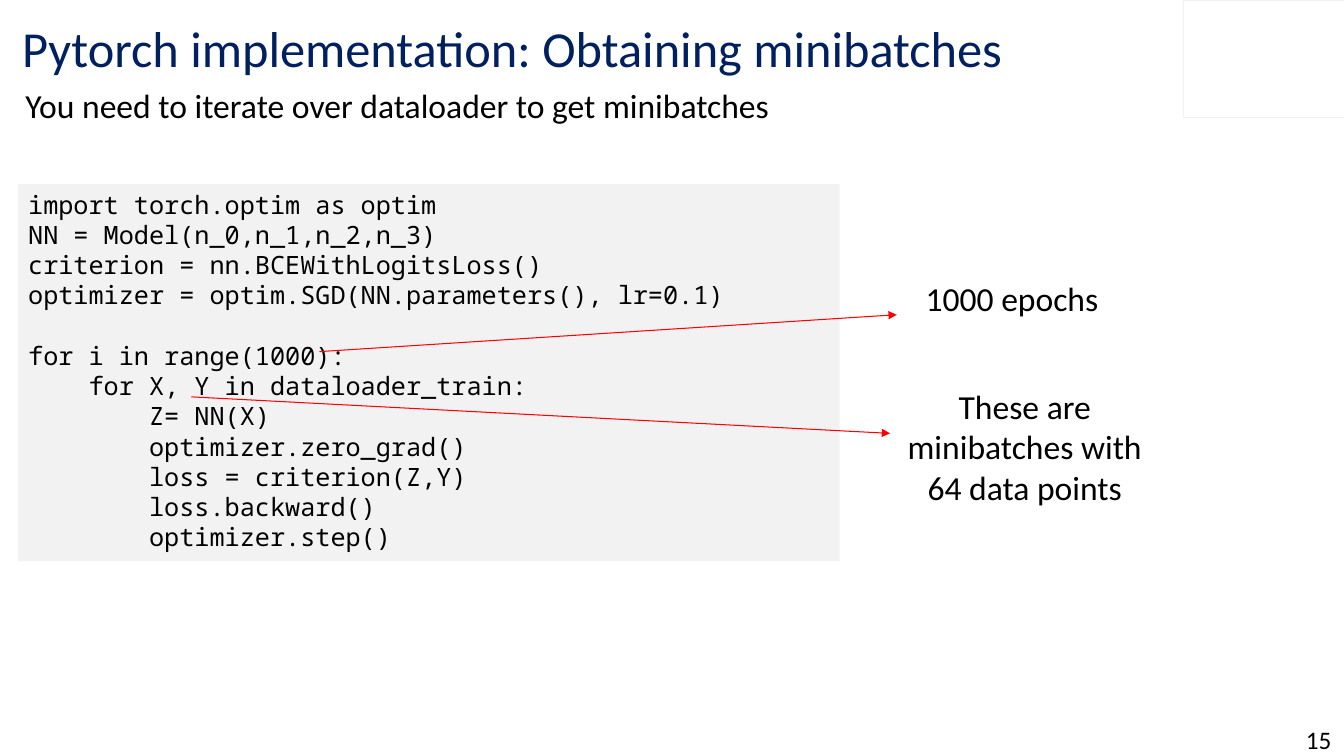
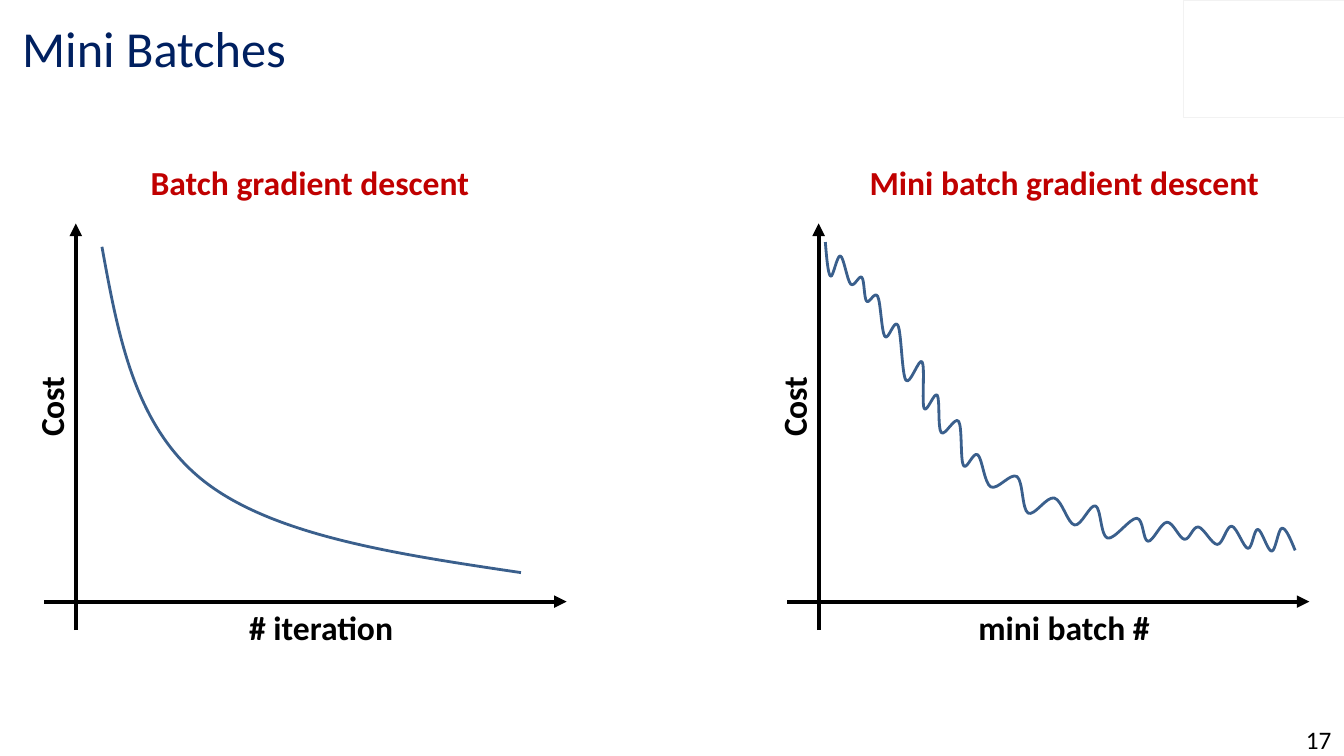
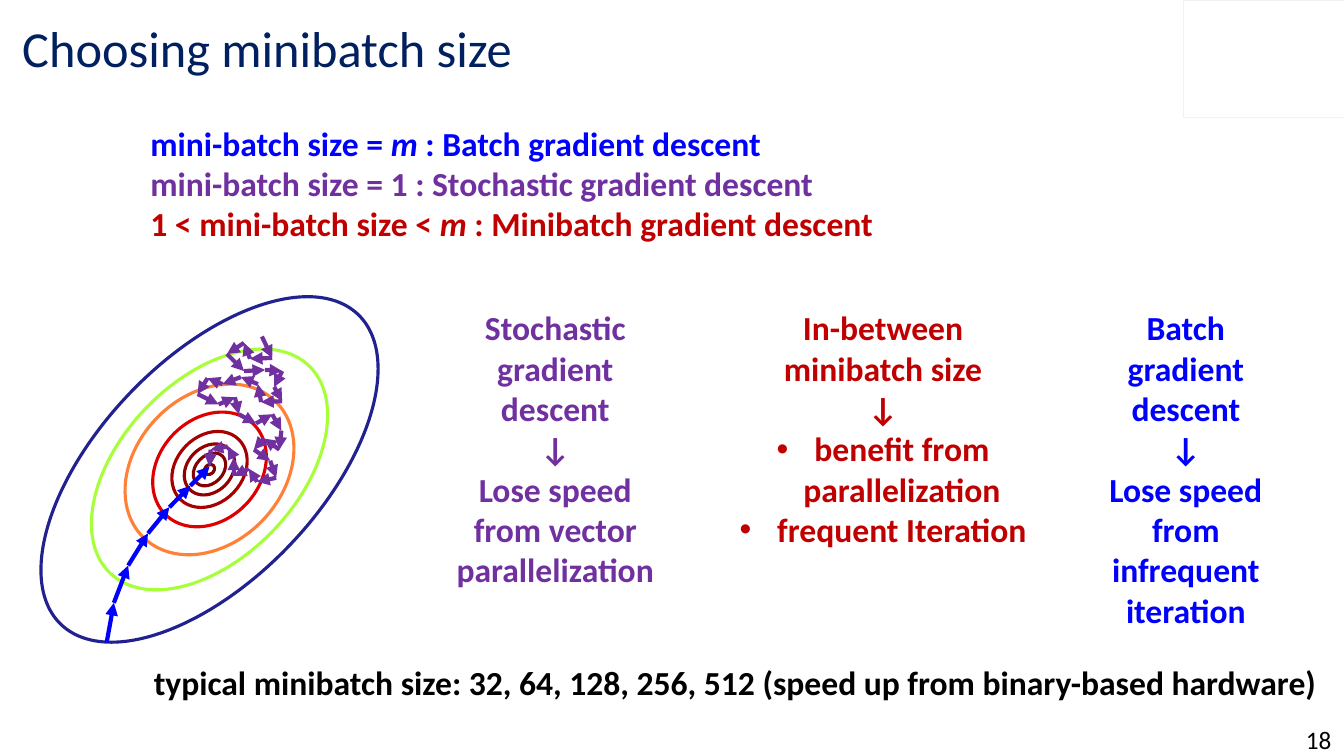
import itertools

import pptx
import pptx.dml.color
import pptx.enum.shapes
import pptx.enum.text
import pptx.oxml
import pptx.oxml.ns
import pptx.util

Cm = pptx.util.Cm
Pt = pptx.util.Pt
ALIGN = pptx.enum.text.PP_ALIGN
ANCHOR = pptx.enum.text.MSO_ANCHOR
FIT = pptx.enum.text.MSO_AUTO_SIZE
SHAPE = pptx.enum.shapes.MSO_SHAPE

BLACK, NAVY, PALE = "000000", "002060", "F2F2F2"
RED, ARROW_RED = "C00000", "FF0000"
BLUE, PURPLE, CURVE = "0000FF", "7030A0", "3A5F8C"


def rgb(value):
    return pptx.dml.color.RGBColor.from_string(value)


def add_xml(parent, tag, **attributes):
    """Append an empty DrawingML element to parent and return it."""
    child = pptx.oxml.parse_xml(f"<a:{tag} {pptx.oxml.ns.nsdecls('a')}/>")
    for name, value in attributes.items():
        child.set(name, str(value))
    parent.append(child)
    return child


def smooth_segments(knots):
    """Bezier segments (control, control, end); tangents follow the neighbours."""
    def shifted(knot, before, after, sign):
        return tuple(k + sign * (b - a) / 6 for k, a, b in zip(knot, before, after))

    def middle(first, second):
        return tuple((a + b) / 2 for a, b in zip(first, second))

    segments = []
    last = len(knots) - 2
    for i in range(last + 1):
        start, end = knots[i], knots[i + 1]
        leave = shifted(start, knots[i - 1], end, 1) if i > 0 else None
        arrive = shifted(end, start, knots[i + 2], -1) if i < last else None
        segments.append((leave or middle(start, arrive), arrive or middle(leave, end), end))
    return segments


class Lecture:
    """Holds the deck, its style and the current page; lengths are in cm."""

    font = "Calibri"
    code_font = "Noto Sans Mono"
    body_size = 24

    def __init__(self):
        self.deck = pptx.Presentation()
        self.deck.slide_width = Cm(33.87)
        self.deck.slide_height = Cm(19.05)
        self.page = None

    def new_page(self, title, number):
        self.page = self.deck.slides.add_slide(self.deck.slide_layouts[6])
        self.outline(SHAPE.RECTANGLE, 29.83, 0, 4.04, 2.96, PALE, 0.25)
        self.text(0.31, 0.25, 26.14, 1.9, [title], NAVY, size=36, grow=False)
        self.text(32.6, 18.21, 1.27, 0.84, [str(number)], size=18,
                  align=ALIGN.CENTER, wrap=False, grow=False)

    def text(self, left, top, width, height, lines, colour=BLACK, size=body_size,
             font=font, bold=False, align=ALIGN.LEFT, wrap=True, grow=True):
        """Add a text box; a part of a line between bars is italic."""
        box = self.page.shapes.add_textbox(Cm(left), Cm(top), Cm(width), Cm(height))
        frame = box.text_frame
        frame.word_wrap = wrap
        frame.auto_size = FIT.SHAPE_TO_FIT_TEXT if grow else FIT.NONE
        frame.vertical_anchor = ANCHOR.TOP if grow else ANCHOR.MIDDLE
        for i, line in enumerate(lines):
            para = frame.add_paragraph() if i else frame.paragraphs[0]
            para.alignment = align
            for j, part in enumerate(line.split("|")):
                span = para.add_run()
                span.text = part
                span.font.name = font
                span.font.size = Pt(size)
                span.font.bold = bold
                span.font.italic = j % 2 == 1
                span.font.color.rgb = rgb(colour)
        return box

    def label(self, *place, **style):
        """Bold centred text."""
        return self.text(*place, bold=True, align=ALIGN.CENTER, **style)

    def code(self, left, top, width, height, blocks):
        """Add a code panel with one line of space between the blocks."""
        box = self.text(left, top, width, height, list(itertools.chain(*blocks)),
                        size=18, font=self.code_font)
        box.fill.solid()
        box.fill.fore_color.rgb = rgb(PALE)
        first = 0
        for block in blocks[:-1]:
            first += len(block)
            box.text_frame.paragraphs[first].space_before = Pt(21.6)

    def bullet(self, para):
        properties = para._p.get_or_add_pPr()
        properties.set("marL", str(Cm(0.95)))
        properties.set("indent", str(-Cm(0.95)))
        add_xml(properties, "buFont", typeface="Arial")
        add_xml(properties, "buChar", char="•")

    def outline(self, kind, left, top, width, height, colour, weight):
        shape = self.page.shapes.add_shape(kind, Cm(left), Cm(top), Cm(width), Cm(height))
        self.stroke(shape, colour, weight)
        return shape

    def stroke(self, shape, colour, weight):
        shape.shadow.inherit = False
        shape.fill.background()
        shape.line.color.rgb = rgb(colour)
        shape.line.width = Pt(weight)

    def curve(self, knots):
        """Draw a freeform through the knots and bend its straight segments."""
        start, *rest = [(Cm(x), Cm(y)) for x, y in knots]
        builder = self.page.shapes.build_freeform(*start)
        builder.add_line_segments(rest, close=False)
        shape = builder.convert_to_shape()
        straight = list(shape._element.iter(pptx.oxml.ns.qn("a:lnTo")))
        for line, segment in zip(straight, smooth_segments(knots)):
            bend = add_xml(line.getparent(), "cubicBezTo")
            for x, y in segment:
                add_xml(bend, "pt", x=Cm(x) - shape.left, y=Cm(y) - shape.top)
            line.getparent().replace(line, bend)
        self.stroke(shape, CURVE, 2)

    def arrow(self, start, end, colour, weight=3):
        line = self.page.shapes.add_connector(
            pptx.enum.shapes.MSO_CONNECTOR.STRAIGHT, *map(Cm, start + end))
        line.line.color.rgb = rgb(colour)
        line.line.width = Pt(weight)
        add_xml(line.line._get_or_add_ln(), "tailEnd", type="triangle")
        add_xml(line._element.spPr, "effectLst")

    def arrow_chain(self, stops, colour):
        for start, end in zip(stops, stops[1:]):
            self.arrow(start, end, colour)

    def cost_graph(self, left, heading, heading_centre, x_name, knots):
        """Draw axes, names, heading and cost curve of one graph."""
        self.arrow((left + 0.79, 15.88), (left + 0.79, 5.63), BLACK)
        self.arrow((left, 15.16), (left + 13.16, 15.16), BLACK)
        name = self.label(left - 0.87, 9.61, 2.06, 1.27, ["Cost"], wrap=False)
        name.rotation = 270
        self.label(left + 4.5, 15.16, 4.95, 1.27, [x_name], wrap=False)
        self.label(heading_centre - 5.65, 3.96, 11.3, 1.27, [heading], colour=RED)
        self.curve(knots)


CODE = [
    ["import torch.optim as optim",
     "NN = Model(n_0,n_1,n_2,n_3)",
     "criterion = nn.BCEWithLogitsLoss()",
     "optimizer = optim.SGD(NN.parameters(), lr=0.1)"],
    ["for i in range(1000):",
     "    for X, Y in dataloader_train:",
     "        Z= NN(X)",
     "        optimizer.zero_grad()",
     "        loss = criterion(Z,Y)",
     "        loss.backward()",
     "        optimizer.step()"],
]

BATCH_COST = [(2.57, 6.22), (5.16, 12.14), (13.13, 14.43)]
MINIBATCH_COST = [
    (20.8, 6.1), (20.93, 6.96), (21.18, 6.45), (21.44, 7.16), (21.72, 6.99),
    (21.84, 7.59), (22.12, 7.47), (22.3, 8.48), (22.63, 8.2), (22.83, 9.58),
    (23.24, 9.12), (23.29, 10.29), (23.62, 9.96), (23.72, 10.9), (24.16, 10.62),
    (24.28, 11.73), (24.64, 11.46), (24.97, 12.27), (25.63, 12.01), (25.91, 12.93),
    (26.57, 12.55), (27.08, 13.23), (27.61, 12.75), (27.91, 13.56), (28.65, 13.06),
    (28.93, 13.64), (29.41, 13.16), (29.85, 13.59), (30.2, 13.28), (30.68, 13.72),
    (31.04, 13.26), (31.45, 13.82), (31.7, 13.34), (32.05, 13.89), (32.31, 13.31),
    (32.64, 13.87)]

CONTOUR_CENTRE = (5.28, 11.83)
CONTOURS = [
    (0.23, 0.28, "7F0000"), (0.69, 0.94, "850000"), (1.12, 1.42, "920000"),
    (1.68, 2.11, "A60000"), (2.54, 3.18, "DE0000"), (3.71, 4.78, "FF8036"),
    (4.45, 7.24, "A7FF3A"), (5.56, 10.82, "21218F")]
MINIMUM = (5.28, 11.76)
BATCH_STEPS = [(2.69, 16.18), (2.87, 15.19), (3.23, 14.25), (3.73, 13.44),
               (4.27, 12.78), (4.8, 12.24), MINIMUM]
STOCHASTIC_STEPS = [
    (6.6, 8.48), (6.86, 9.02), (6.3, 9.04), (6.15, 8.64), (5.72, 8.92), (6.15, 9.35),
    (6.68, 9.32), (7.11, 9.35), (6.91, 9.75), (7.11, 10.11), (6.58, 10.13), (6.5, 9.68),
    (6.07, 9.5), (5.61, 9.68), (5.23, 9.53), (4.98, 9.93), (5.51, 10.19), (5.92, 10.01),
    (6.02, 10.44), (6.45, 10.67), (6.86, 10.44), (7.09, 10.85), (7.04, 11.33),
    (6.65, 11.05), (6.4, 11.33), (6.81, 11.61), (6.96, 12.04), (6.48, 12.14),
    (6.27, 11.81), (5.89, 11.99), (5.89, 11.53), (5.74, 11.25), (5.31, 11.33), MINIMUM]


def obtaining_minibatches(lecture):
    lecture.new_page("Pytorch implementation: Obtaining minibatches", 15)
    lecture.code(0.46, 4.64, 20.7, 9.5, CODE)
    lecture.text(0.39, 2.01, 19.43, 1.27,
                 ["You need to iterate over dataloader to get minibatches"], wrap=False)
    lecture.text(22.28, 6.88, 6.45, 1.27, ["1000 epochs"], align=ALIGN.CENTER)
    lecture.arrow((8.05, 8.86), (22.6, 7.93), ARROW_RED, 0.75)
    lecture.arrow((4.82, 10), (22.43, 10.92), ARROW_RED, 0.75)
    lecture.text(22.6, 9.6, 6.45, 3.33, ["These are minibatches with 64 data points"],
                 align=ALIGN.CENTER)


def mini_batches(lecture):
    lecture.new_page("Mini Batches", 17)
    lecture.cost_graph(1.12, "Batch gradient descent", 7.81, "# iteration", BATCH_COST)
    lecture.cost_graph(19.84, "Mini batch gradient descent", 26.82, "mini batch #",
                       MINIBATCH_COST)


def choosing_size(lecture):
    lecture.new_page("Choosing minibatch size", 18)
    sizes = lecture.text(3.54, 2.96, 18.85, 4.37, [
        "mini-batch size = |m| : Batch gradient descent",
        "mini-batch size = 1 : Stochastic gradient descent",
        "1 < mini-batch size < |m| : Minibatch gradient descent"], bold=True, wrap=False)
    for para, colour in zip(sizes.text_frame.paragraphs, (BLUE, PURPLE, RED)):
        for span in para.runs:
            span.font.color.rgb = rgb(colour)

    centre_x, centre_y = CONTOUR_CENTRE
    for width, height, colour in CONTOURS:
        contour = lecture.outline(SHAPE.OVAL, centre_x - width / 2, centre_y - height / 2,
                                  width, height, colour, 2.25)
        contour.rotation = 43.8
    lecture.arrow_chain(BATCH_STEPS, BLUE)
    lecture.arrow_chain(STOCHASTIC_STEPS, PURPLE)

    top = 7.62
    lecture.label(11.15, top, 5.69, 7.44, [
        "Stochastic", "gradient descent", "↓",
        "Lose speed from vector parallelization"], colour=PURPLE)
    between = lecture.label(18.19, top, 8.13, 7.44, [
        "In-between minibatch size", "↓",
        "benefit from parallelization", "frequent Iteration"], colour=RED)
    for para in between.text_frame.paragraphs[2:]:
        lecture.bullet(para)
    lecture.label(27.66, top, 4.45, 8.46, [
        "Batch", "gradient descent", "↓",
        "Lose speed from infrequent iteration"], colour=BLUE)
    lecture.label(3.48, 16.55, 30.1, 1.27, [
        "typical minibatch size: 32, 64, 128, 256, 512 (speed up from binary-based hardware)"],
        wrap=False)


def main():
    lecture = Lecture()
    obtaining_minibatches(lecture)
    mini_batches(lecture)
    choosing_size(lecture)
    lecture.deck.save("out.pptx")


if __name__ == "__main__":
    main()
